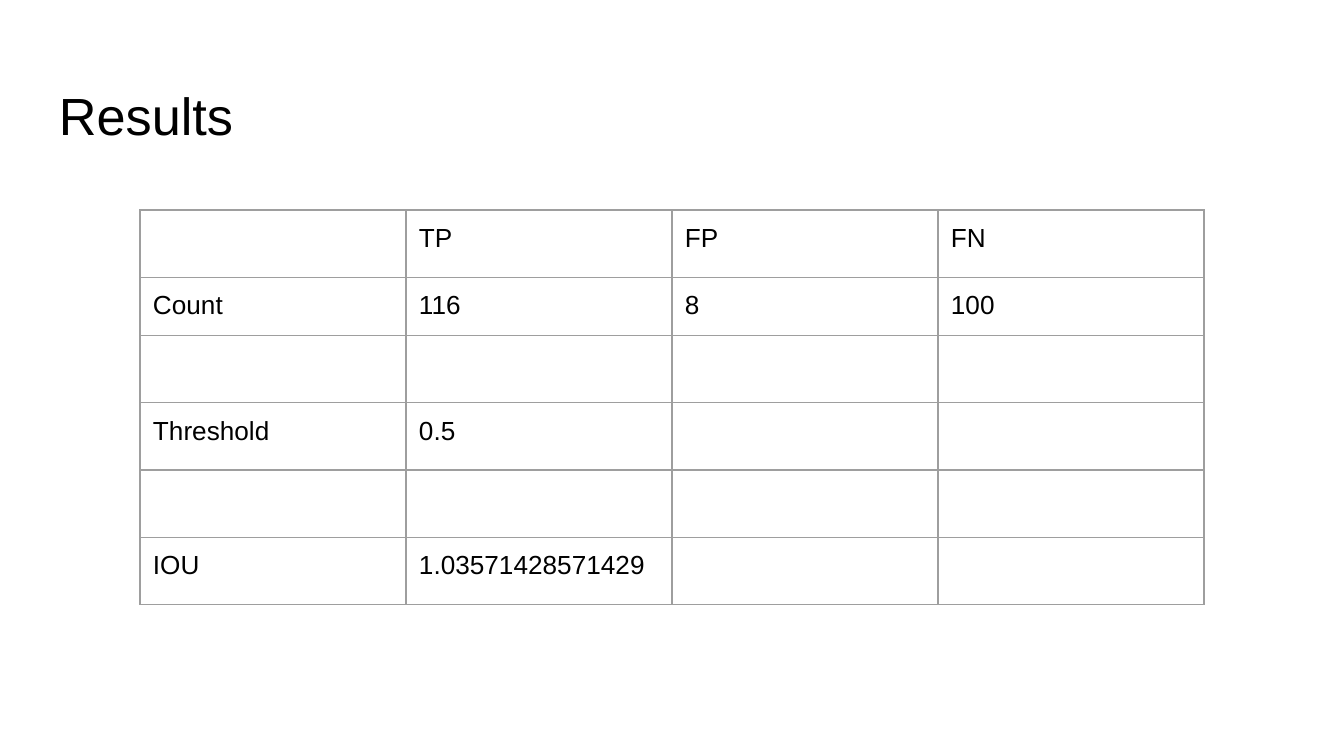
import pptx
import pptx.dml.color
import pptx.enum.text
import pptx.oxml
import pptx.oxml.ns
import pptx.util

PX = 914400 / 134.4
FONT = "Arial"
BLACK, GREY, WHITE = "000000", "9E9E9E", "FFFFFF"


def px(length):
    return pptx.util.Emu(round(length * PX))


def color(target, value):
    target.rgb = pptx.dml.color.RGBColor.from_string(value)


deck = pptx.Presentation()
deck.slide_width, deck.slide_height = px(1344), px(756)
page = deck.slides.add_slide(deck.slide_layouts[6])
page.background.fill.solid()
color(page.background.fill.fore_color, WHITE)

# Title
title = page.shapes.add_textbox(px(46), px(66), px(1252), px(85))
box = title.text_frame
box.word_wrap = True
box.margin_left = box.margin_right = px(13)
box.margin_top, box.margin_bottom = px(17), px(9)
box.vertical_anchor = pptx.enum.text.MSO_ANCHOR.TOP
span = box.paragraphs[0].add_run()
span.text = "Results"
span.font.name, span.font.size = FONT, pptx.util.Pt(28)
color(span.font.color, BLACK)

# Results table: rows with empty cells grow to fit their 18 pt blank line
rows = [
    ["", "TP", "FP", "FN"],
    ["Count", "116", "8", "100"],
    ["", "", "", ""],
    ["Threshold", "0.5", "", ""],
    ["", "", "", ""],
    ["IOU", "1.03571428571429", "", ""],
]
column_width, row_height = 266, 56
frame = page.shapes.add_table(len(rows), len(rows[0]), px(140), px(210),
                              px(column_width * len(rows[0])),
                              px(row_height * len(rows)))
table = frame.table
table.first_row = table.horz_banding = False
for column in table.columns:
    column.width = px(column_width)
for row in table.rows:
    row.height = px(row_height)

namespace = pptx.oxml.ns.nsdecls("a")
for row, texts in zip(table.rows, rows):
    for cell, text in zip(row.cells, texts):
        cell.margin_left = cell.margin_right = px(13)
        cell.margin_top = cell.margin_bottom = pptx.util.Inches(0.1)
        para = cell.text_frame.paragraphs[0]
        if text:
            span = para.add_run()
            span.text = text
            span.font.name, span.font.size = FONT, pptx.util.Pt(14)
            color(span.font.color, BLACK)
        else:
            para._p.append(pptx.oxml.parse_xml(
                f'<a:endParaRPr {namespace} sz="1800">'
                f'<a:latin typeface="{FONT}"/></a:endParaRPr>'))

        # Borders come before the fill in the cell properties
        properties = cell._tc.get_or_add_tcPr()
        for side in ("lnL", "lnR", "lnT", "lnB"):
            properties.append(pptx.oxml.parse_xml(
                f'<a:{side} {namespace} w="{pptx.util.Pt(0.75)}"><a:solidFill>'
                f'<a:srgbClr val="{GREY}"/></a:solidFill></a:{side}>'))
        cell.fill.background()

deck.save("out.pptx")
